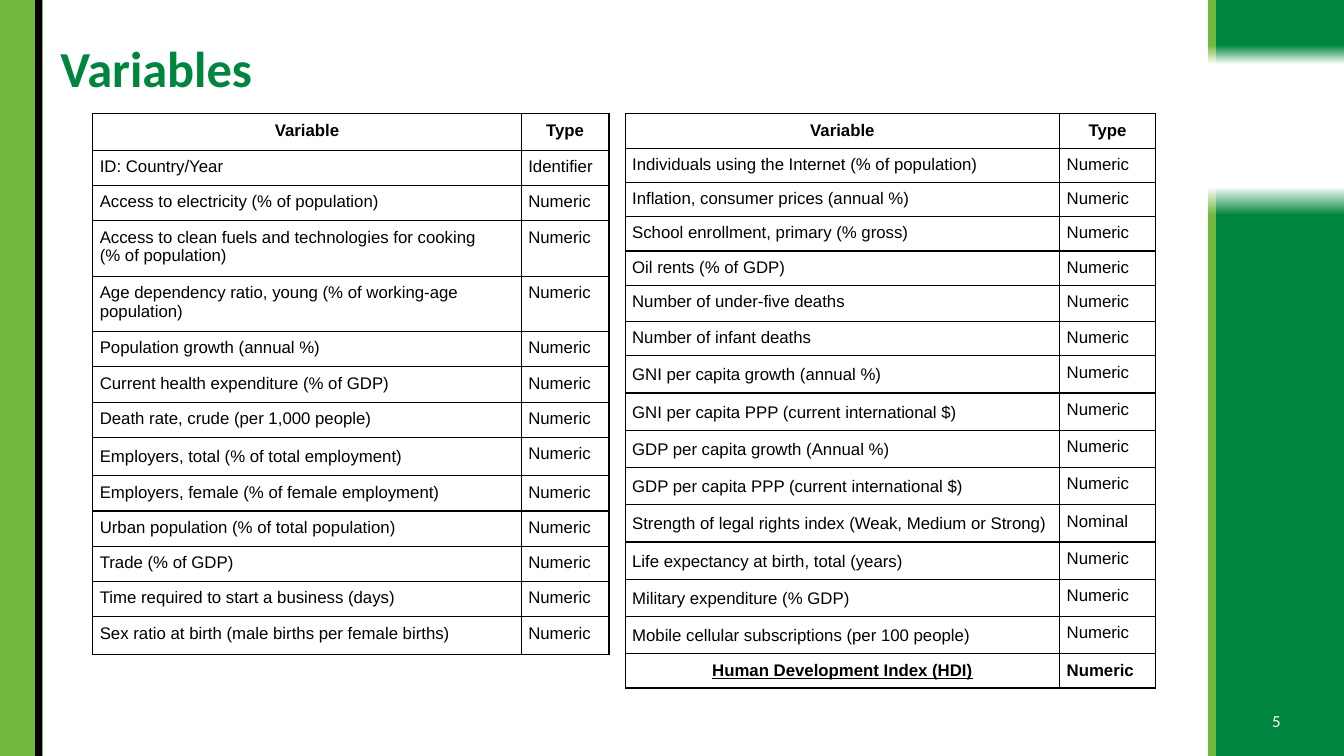
from lxml import etree
from pptx import Presentation
from pptx.dml.color import RGBColor
from pptx.enum import shapes as sh, text as tx
from pptx.oxml import ns
from pptx.util import Inches, Pt

GREEN = RGBColor(0x00, 0x85, 0x3E)
LIME = RGBColor(0x72, 0xB8, 0x3E)
BLACK = RGBColor(0, 0, 0)
WHITE = RGBColor(255, 255, 255)
LOOSE = 1.15  # wider line spacing of some rows
MID = tx.PP_ALIGN.CENTER

# Rows: variable, type, row height, line spacing
LEFT = [
    ("ID: Country/Year", "Identifier", 0.35, None),
    ("Access to electricity (% of population)", "Numeric", 0.35, None),
    ("Access to clean fuels and technologies for cooking\n(% of population)",
     "Numeric", 0.55, None),
    ("Age dependency ratio, young (% of working-age population)",
     "Numeric", 0.55, None),
    ("Population growth (annual %)", "Numeric", 0.35, None),
    ("Current health expenditure (% of GDP)", "Numeric", 0.35, None),
    ("Death rate, crude (per 1,000 people)", "Numeric", 0.35, None),
    ("Employers, total (% of total employment)", "Numeric", 0.38, LOOSE),
    ("Employers, female (% of female employment)", "Numeric", 0.35, None),
    ("Urban population (% of total population)", "Numeric", 0.35, None),
    ("Trade (% of GDP)", "Numeric", 0.35, None),
    ("Time required to start a business (days)", "Numeric", 0.35, None),
    ("Sex ratio at birth (male births per female births)",
     "Numeric", 0.37, None),
]
RIGHT = [
    ("Individuals using the Internet (% of population)",
     "Numeric", 0.32, None),
    ("Inflation, consumer prices (annual %)", "Numeric", 0.32, None),
    ("School enrollment, primary (% gross)", "Numeric", 0.32, None),
    ("Oil rents (% of GDP)", "Numeric", 0.32, None),
    ("Number of under-five deaths", "Numeric", 0.36, None),
    ("Number of infant deaths", "Numeric", 0.32, None),
    ("GNI per capita growth (annual %)", "Numeric", 0.35, LOOSE),
    ("GNI per capita PPP (current international $)", "Numeric", 0.35, LOOSE),
    ("GDP per capita growth (Annual %)", "Numeric", 0.35, LOOSE),
    ("GDP per capita PPP (current international $)", "Numeric", 0.35, LOOSE),
    ("Strength of legal rights index (Weak, Medium or Strong)",
     "Nominal", 0.35, LOOSE),
    ("Life expectancy at birth, total (years)", "Numeric", 0.35, LOOSE),
    ("Military expenditure (% GDP)", "Numeric", 0.35, LOOSE),
    ("Mobile cellular subscriptions (per 100 people)",
     "Numeric", 0.35, LOOSE),
    ("Human Development Index (HDI)", "Numeric", 0.32, None),
]


def write(frame, words, size=12, font="Arial", color=BLACK, bold=False,
          line=False, align=None, space=None):
    """Fill a text frame, one paragraph per line of words."""
    frame.text = words
    for para in frame.paragraphs:
        para.alignment = align
        para.line_spacing = space
        for run in para.runs:
            face = run.font
            face.size, face.name, face.bold = Pt(size), font, bold
            face.underline = line
            face.color.rgb = color


def label(slide, words, x, y, w, h, **form):
    frame = slide.shapes.add_textbox(
        Inches(x), Inches(y), Inches(w), Inches(h)).text_frame
    frame.word_wrap = True
    frame.vertical_anchor = tx.MSO_ANCHOR.MIDDLE
    write(frame, words, font="Calibri", **form)


def bar(slide, x, y, w, h, color):
    box = slide.shapes.add_shape(
        sh.MSO_SHAPE.RECTANGLE, Inches(x), Inches(y), Inches(w), Inches(h))
    box.shadow.inherit = False
    box.line.fill.background()
    box.fill.solid()
    box.fill.fore_color.rgb = color
    return box


def fade(box, color, hold):
    """Keep the color down to hold percent, then fade to white."""
    box.fill.gradient()
    grad = box.fill._fill._gradFill
    for part in list(grad):
        grad.remove(part)
    stops = etree.SubElement(grad, ns.qn("a:gsLst"))
    for pos, tone in ((0, color), (hold, color), (100, WHITE)):
        stop = etree.SubElement(stops, ns.qn("a:gs"), pos=str(pos * 1000))
        etree.SubElement(stop, ns.qn("a:srgbClr"), val=str(tone))
    etree.SubElement(grad, ns.qn("a:lin"), ang="5400000", scaled="0")


def border(cell):
    props = cell._tc.get_or_add_tcPr()
    for side in ("a:lnL", "a:lnR", "a:lnT", "a:lnB"):
        edge = etree.SubElement(props, ns.qn(side), w=str(Pt(1)))
        fill = etree.SubElement(edge, ns.qn("a:solidFill"))
        etree.SubElement(fill, ns.qn("a:srgbClr"), val=str(BLACK))


def grid(slide, x, y, widths, rows):
    """Add a table; each row is (name, kind, height, spacing, forms)."""
    total = sum(row[2] for row in rows)
    table = slide.shapes.add_table(
        len(rows), 2, Inches(x), Inches(y),
        Inches(sum(widths)), Inches(total)).table
    table.first_row = table.horz_banding = False
    for col, width in zip(table.columns, widths):
        col.width = Inches(width)
    for r, (name, kind, high, space, forms) in enumerate(rows):
        table.rows[r].height = Inches(high)
        for c, words in enumerate((name, kind)):
            cell = table.cell(r, c)
            cell.margin_left = cell.margin_right = Inches(0.07)
            cell.margin_top = cell.margin_bottom = Inches(0.07)
            border(cell)
            cell.fill.background()
            write(cell.text_frame, words,
                  space=None if c else space, **forms[c])


def main():
    deck = Presentation()
    deck.slide_width, deck.slide_height = Inches(13.33), Inches(7.5)
    slide = deck.slides.add_slide(deck.slide_layouts[6])

    # Right band, open in the middle, with a thin lime edge
    for x, w, color in ((12.06, 1.27, GREEN), (11.98, 0.08, LIME)):
        fade(bar(slide, x, 0, w, 0.64, color), color, 70)
        low = bar(slide, x, 1.85, w, 5.65, color)
        low.rotation = 180
        fade(low, color, 95)

    # Left band
    bar(slide, 0, 0, 0.35, 7.5, LIME)
    bar(slide, 0.35, 0, 0.07, 7.5, BLACK)

    # Title and page number
    label(slide, "Variables", 0.5, 0.13, 11.4, 1.16,
          size=36, color=GREEN, bold=True, space=0.9)
    label(slide, "5", 12.4, 6.95, 0.52, 0.4, color=WHITE, align=MID)

    # Tables: the right one has its header as a table of its own
    plain = ({}, {})
    top = {"bold": True, "align": MID}
    last = ({"line": True, **top}, {"bold": True})
    left = [row + (plain,) for row in LEFT]
    right = [row + (plain,) for row in RIGHT[:-1]] + [RIGHT[-1] + (last,)]
    wide = (4.31, 0.95)
    grid(slide, 0.92, 1.13, (4.25, 0.87),
         [("Variable", "Type", 0.36, None, (top, top))] + left)
    grid(slide, 6.2, 1.47, wide, right)
    grid(slide, 6.2, 1.13, wide,
         [("Variable", "Type", 0.34, None, (top, top))])

    deck.save("out.pptx")


if __name__ == "__main__":
    main()
